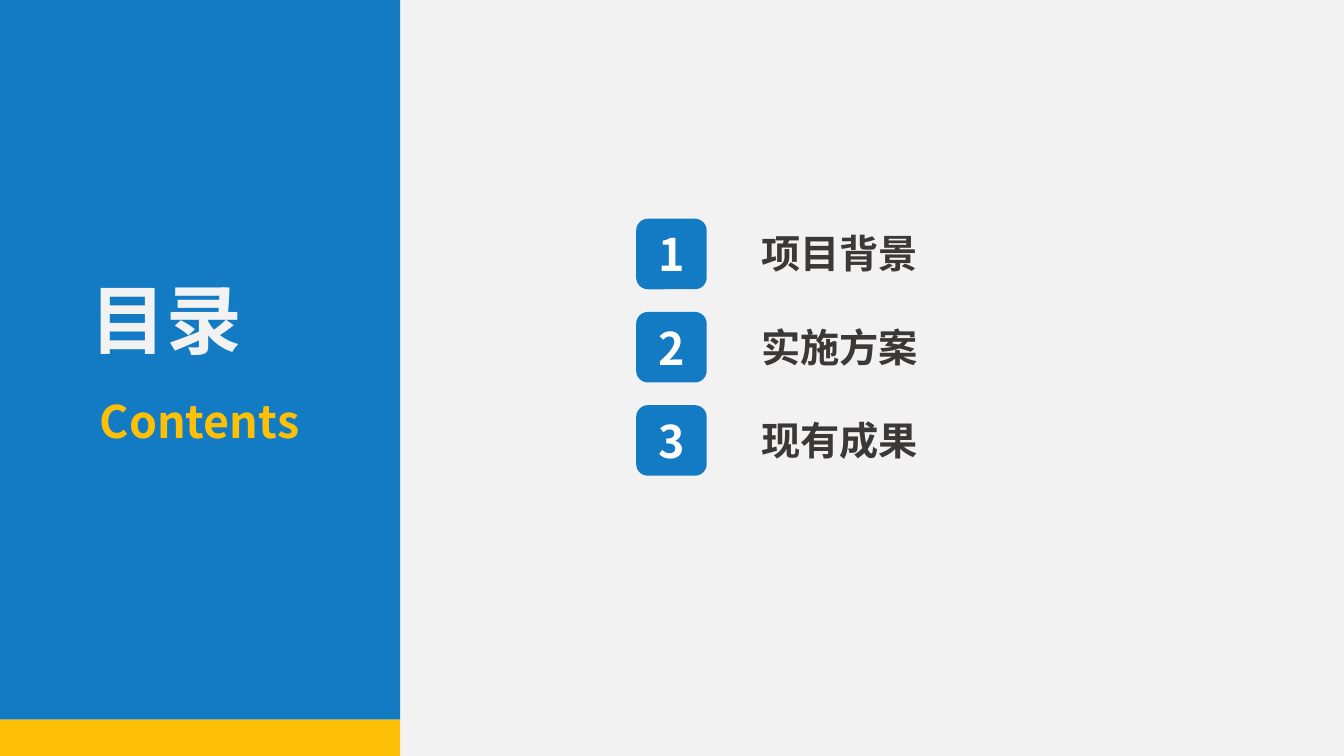
from dataclasses import dataclass

from lxml.etree import SubElement
from pptx import Presentation
from pptx.dml.color import RGBColor
from pptx.enum.shapes import MSO_SHAPE as Shape
from pptx.enum.text import MSO_ANCHOR as Anchor, MSO_AUTO_SIZE as AutoSize, PP_ALIGN as Align
from pptx.oxml.ns import qn
from pptx.util import Inches, Pt


@dataclass(frozen=True)
class Theme:
    blue: str = "137AC4"
    yellow: str = "FDC006"
    light: str = "F2F2F2"
    white: str = "FFFFFF"
    dark: str = "3B3838"
    font: str = "Noto Sans CJK SC"
    serif: str = "Times New Roman"
    title_size: int = 54
    accent_size: int = 32
    topic_size: int = 28


THEME = Theme()
TOPICS = [("项目背景", THEME.font), ("实施方案", THEME.serif), ("现有成果", THEME.font)]


def write(holder, text, size, color, align, anchor=Anchor.TOP, latin=THEME.font):
    """Put one bold line into a shape, with a matching East Asian font."""
    frame = holder.text_frame
    frame.text = text
    frame.word_wrap = True
    frame.auto_size = AutoSize.NONE
    frame.vertical_anchor = anchor
    line = frame.paragraphs[0]
    line.alignment = align
    font = line.runs[0].font
    font.size, font.bold, font.name = Pt(size), True, latin
    font.color.rgb = RGBColor.from_string(color)
    SubElement(line.runs[0]._r.get_or_add_rPr(), qn("a:ea"), typeface=THEME.font)


def add_block(slide, kind, left, top, width, height, color):
    block = slide.shapes.add_shape(
        kind, Inches(left), Inches(top), Inches(width), Inches(height))
    block.shadow.inherit = False
    block.fill.solid()
    block.fill.fore_color.rgb = RGBColor.from_string(color)
    block.line.fill.background()
    return block


def add_label(slide, left, top, width, height):
    return slide.shapes.add_textbox(
        Inches(left), Inches(top), Inches(width), Inches(height))


def add_title_panel(slide, left, top, width, height):
    """Blue side panel with a yellow foot, the title and its translation."""
    foot_height = 0.36
    blue_height = height - foot_height
    add_block(slide, Shape.RECTANGLE, left, top, width, blue_height, THEME.blue)
    add_block(slide, Shape.RECTANGLE, left, top + blue_height, width, foot_height, THEME.yellow)

    heading_left, heading_width = left + 0.8, 2.36
    title = slide.shapes.title
    title.left, title.top = Inches(heading_left), Inches(top + 2.66)
    title.width, title.height = Inches(heading_width), Inches(1.01)
    write(title, "目录", THEME.title_size, THEME.light, Align.JUSTIFY)
    slide.shapes._spTree.append(title._element)  # bring in front of the panel

    subtitle = add_label(slide, heading_left, top + 3.86, heading_width, 0.64)
    write(subtitle, "Contents", THEME.accent_size, THEME.yellow, Align.CENTER)


def add_agenda(slide, left, top, width, height):
    """Numbered topics spread evenly over the height of the box."""
    badge_side, topic_offset, topic_height = 0.7, 1.14, 0.57
    pitch = (height - badge_side) / (len(TOPICS) - 1)
    for index, (topic, latin) in enumerate(TOPICS):
        row_top = top + index * pitch
        badge = add_block(slide, Shape.ROUNDED_RECTANGLE, left, row_top,
                          badge_side, badge_side, THEME.blue)
        write(badge, str(index + 1), THEME.accent_size, THEME.white,
              Align.CENTER, Anchor.MIDDLE)
        label = add_label(slide, left + topic_offset, row_top + 0.06,
                          width - topic_offset, topic_height)
        write(label, topic, THEME.topic_size, THEME.dark, Align.LEFT, latin=latin)


def main():
    deck = Presentation()
    deck.slide_width, deck.slide_height = Inches(13.33), Inches(7.5)
    slide = deck.slides.add_slide(deck.slide_layouts.get_by_name("Title Only"))
    slide.background.fill.solid()
    slide.background.fill.fore_color.rgb = RGBColor.from_string(THEME.light)
    add_title_panel(slide, 0, 0, 3.97, 7.5)
    add_agenda(slide, 6.31, 2.17, 5.02, 2.55)
    deck.save("out.pptx")


if __name__ == "__main__":
    main()
